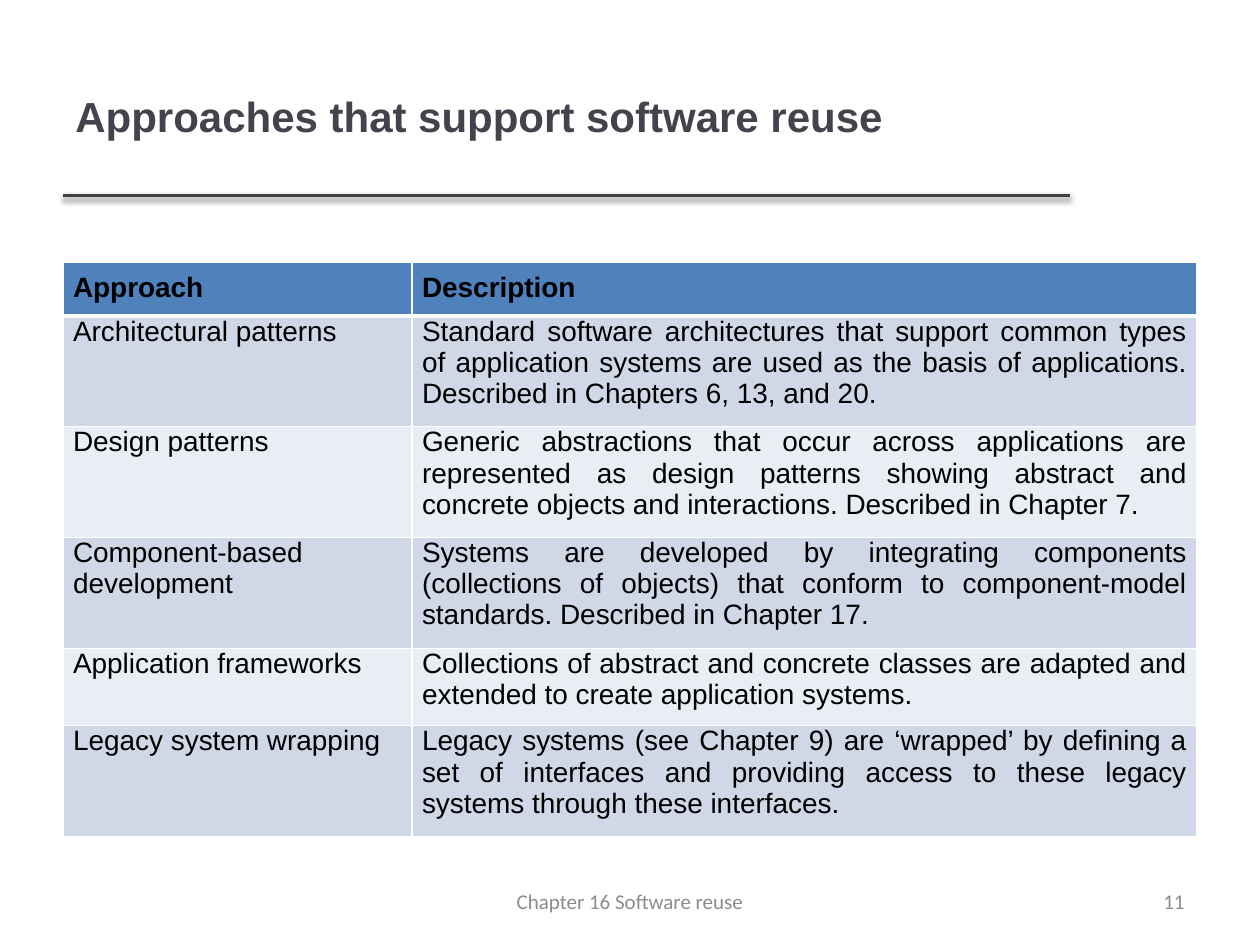
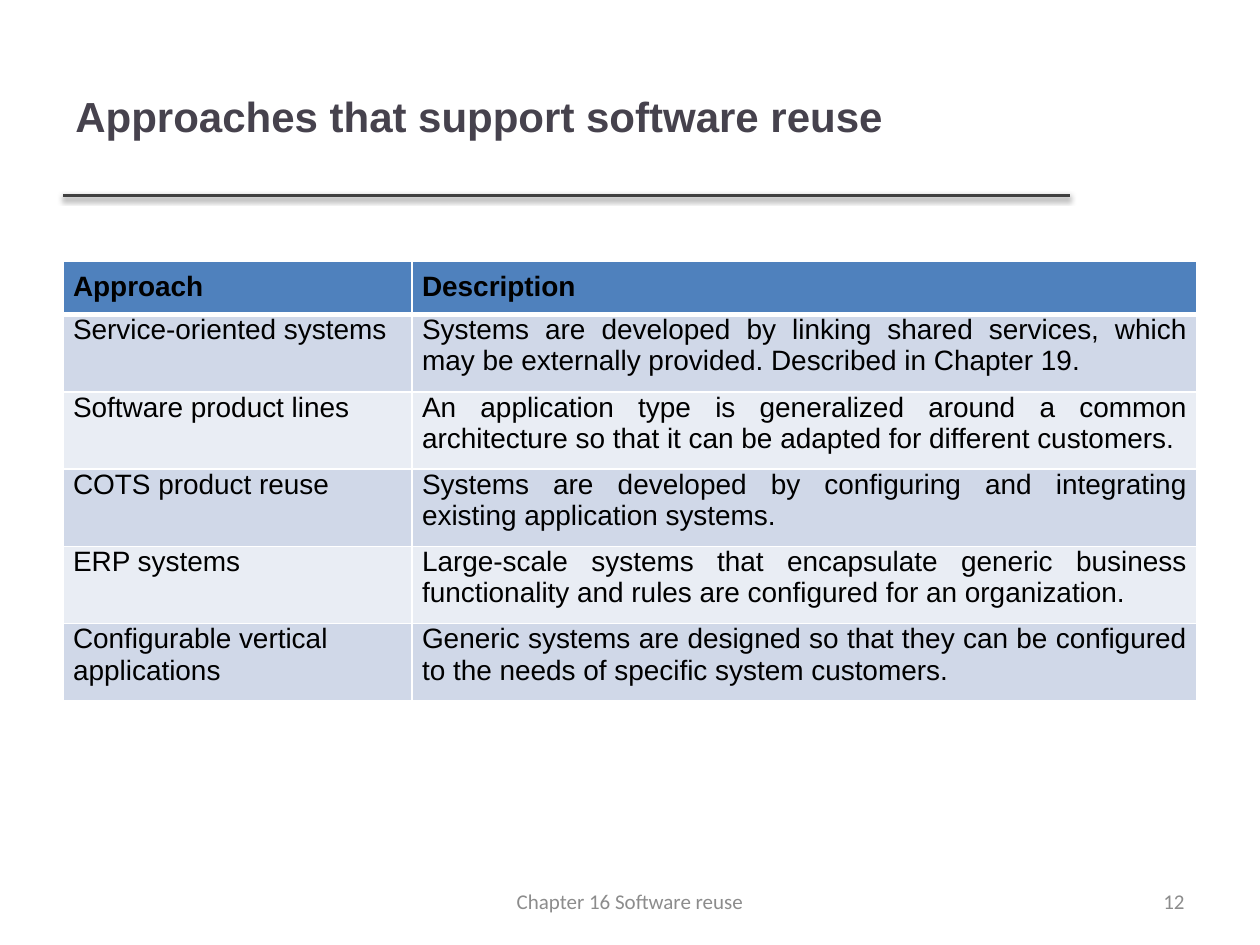
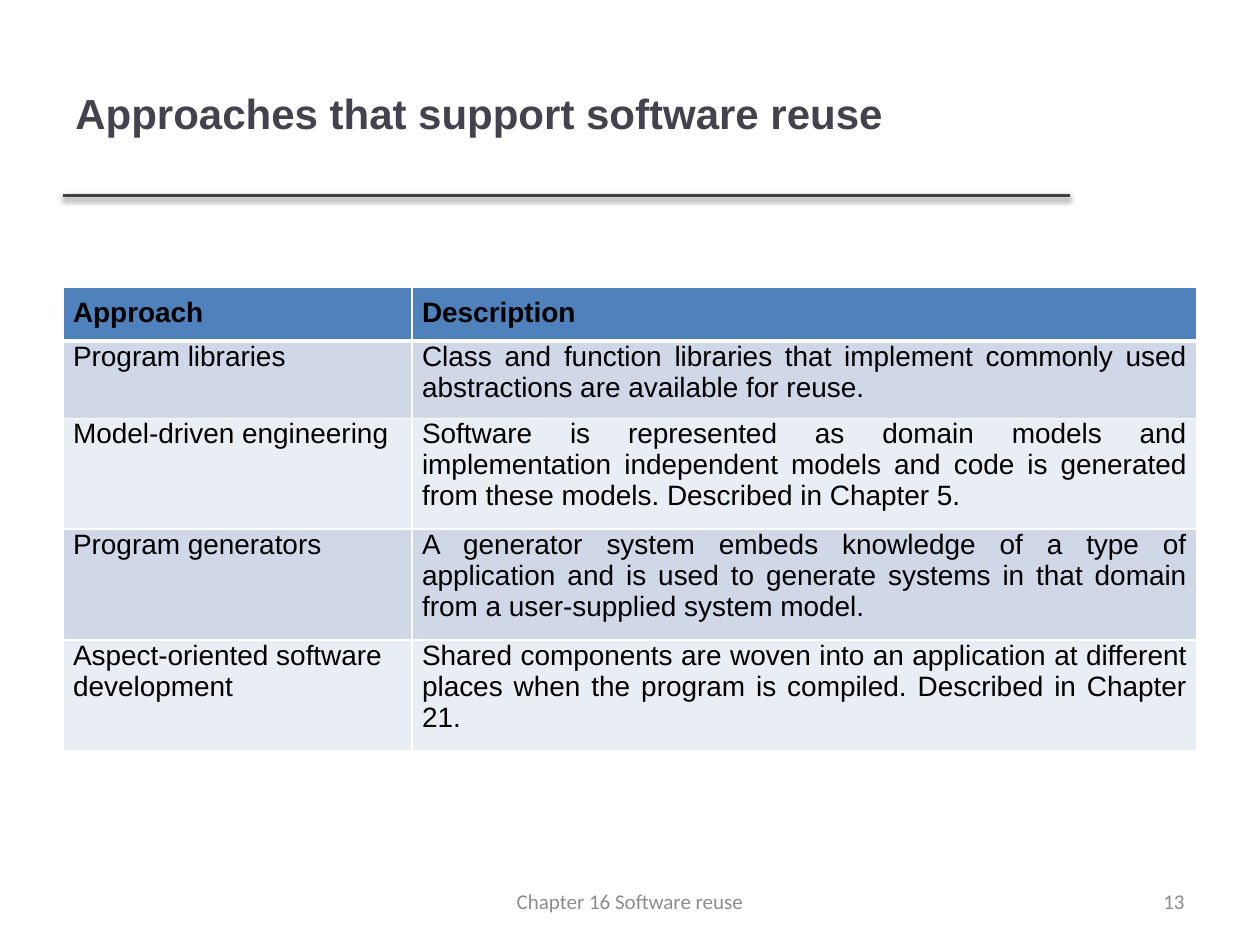
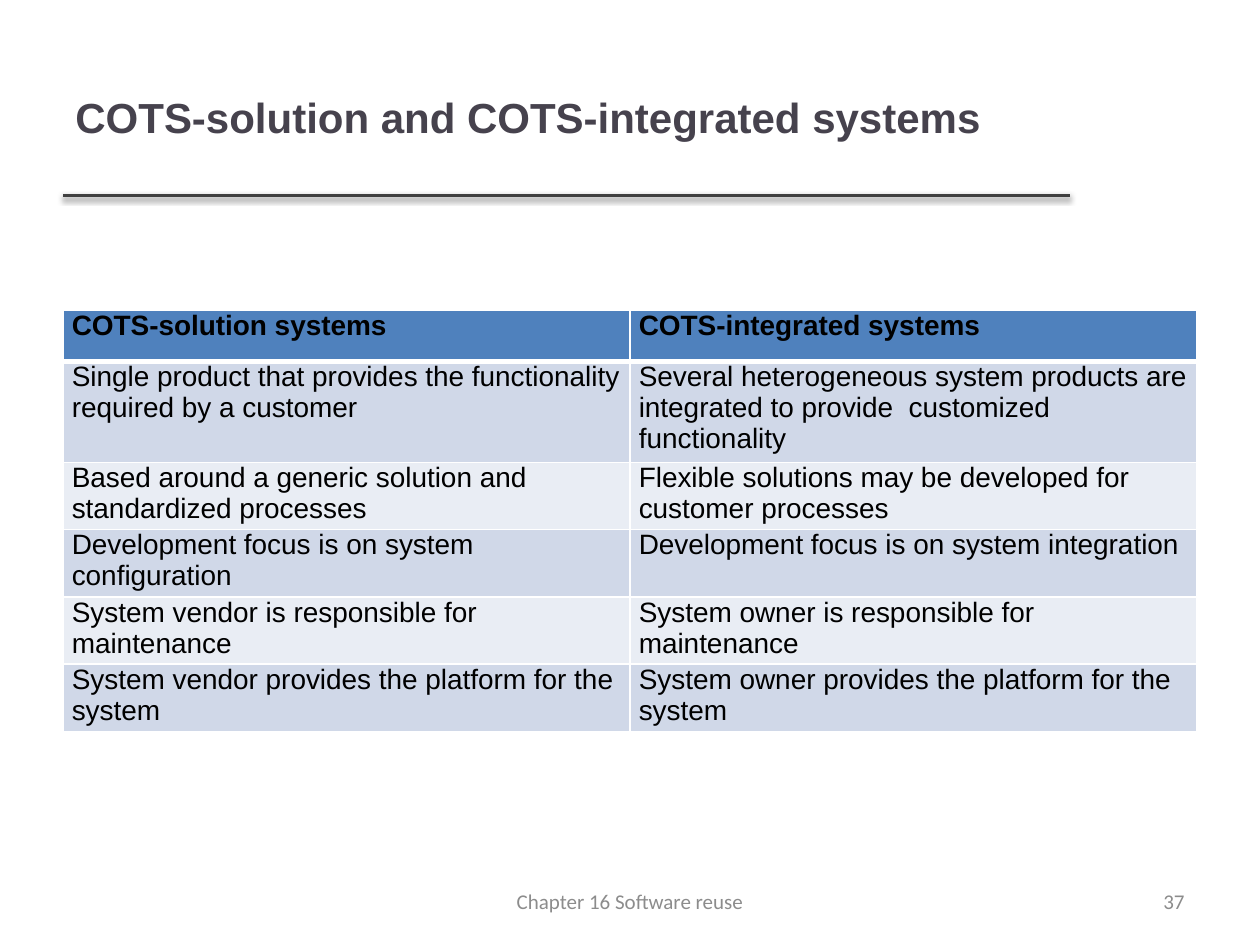
from lxml.etree import SubElement
from pptx import Presentation
from pptx.dml.color import RGBColor as RGB
from pptx.enum.shapes import MSO_CONNECTOR as CONN
from pptx.enum.text import MSO_ANCHOR as ANCHOR, PP_ALIGN as ALIGN
from pptx.oxml.ns import qn
from pptx.util import Inches, Pt

C = {"title": "46424D", "rule": "404040", "shadow": "000000", "text": "000000",
     "head": "4F81BD", "odd": "D0D8E8", "even": "E9EDF4", "border": "FFFFFF",
     "footer": "8C8C8C"}

# Slide grid: 100 columns by 75 rows
COLS, ROWS = 100, 75
prs = Presentation()
prs.slide_width, prs.slide_height = Inches(10), Inches(7.5)
CW, RH = prs.slide_width / COLS, prs.slide_height / ROWS
ROW_H = 4.1


def cols(n):
    return round(n * CW)


def rows(n):
    return round(n * RH)


def place(box):
    x, y, w, h = box
    return cols(x), rows(y), cols(w), rows(h)


def add_run(p, text, size, color, font="Arial", bold=False):
    r = p.add_run()
    r.text = text
    r.font.size, r.font.name, r.font.bold = Pt(size), font, bold
    r.font.color.rgb = RGB.from_string(C[color])


def add_text(s, box, text, align=ALIGN.LEFT, **style):
    tf = s.shapes.add_textbox(*place(box)).text_frame
    tf.word_wrap, tf.vertical_anchor = True, ANCHOR.MIDDLE
    p = tf.paragraphs[0]
    p.alignment = align
    add_run(p, text, **style)


def add_solid(parent, color):
    fill = SubElement(parent, qn("a:solidFill"))
    return SubElement(fill, qn("a:srgbClr"), val=C[color])


# Title with the shadowed rule below it
def add_header(s, box, title):
    x, y, w, h = box
    add_text(s, box, title, size=24, color="title", bold=True)
    rule = s.shapes.add_connector(CONN.STRAIGHT, cols(x), rows(15.5),
                                  cols(84.9), rows(15.5))
    rule.line.color.rgb = RGB.from_string(C["rule"])
    rule.line.width = Pt(2)
    effects = SubElement(rule._element.spPr, qn("a:effectLst"))
    shadow = SubElement(effects, qn("a:outerShdw"), blurRad=str(Pt(3.1)),
                        dist=str(Pt(1.6)), dir="5400000", rotWithShape="0")
    clr = SubElement(shadow, qn("a:srgbClr"), val=C["shadow"])
    SubElement(clr, qn("a:alpha"), val="38000")


# Chapter name and page number
def add_footer(s, box, page):
    x, y, w, h = box
    style = dict(size=12, color="footer", font="Calibri")
    add_text(s, (x + w - 23.3, y, 23.3, h), str(page), ALIGN.RIGHT, **style)
    add_text(s, (x + (w - 31.7) / 2, y, 31.7, h), "Chapter 16 Software reuse",
             ALIGN.CENTER, **style)


def set_borders(cell, row):
    tc_pr = cell._tc.get_or_add_tcPr()
    widths = {"L": 1, "R": 1, "T": 3 if row == 1 else 1, "B": 3 if row == 0 else 1}
    for side, width in widths.items():
        ln = SubElement(tc_pr, qn(f"a:ln{side}"), w=str(Pt(width)))
        add_solid(ln, "border")


def fill_cell(cell, row, text, align, insets, before=0, after=0):
    set_borders(cell, row)
    cell.fill.solid()
    band = "head" if row == 0 else "odd" if row % 2 else "even"
    cell.fill.fore_color.rgb = RGB.from_string(C[band])
    side, top, bottom = insets
    cell.margin_left = cell.margin_right = Inches(side)
    cell.margin_top, cell.margin_bottom = Inches(top), Inches(bottom)
    p = cell.text_frame.paragraphs[0]
    p.alignment, p.space_before, p.space_after = align, Pt(before), Pt(after)
    add_run(p, text, size=16, color="text", bold=row == 0)


def add_grid(s, box, widths, data):
    x, y, w, h = box
    frame = s.shapes.add_table(len(data), len(widths),
                               *place((x, y, w, ROW_H * len(data))))
    table = frame.table
    table.horz_banding = False
    for col, width in zip(table.columns, widths):
        col.width = cols(width)
    for row in table.rows:
        row.height = rows(ROW_H)
    frame.height = rows(h)
    return table


# Approach names beside justified descriptions
def add_approaches(s, box, entries):
    data = [("Approach", "Description"), *entries]
    table = add_grid(s, box, (27.7, 62.3), data)
    for i, line in enumerate(data):
        insets = (0.08, 0 if i else 0.08, 0.08)
        for j, text in enumerate(line):
            align = ALIGN.LEFT if i and j == 0 else ALIGN.JUSTIFY
            fill_cell(table.cell(i, j), i, text, align, insets)


# Two kinds of system side by side
def add_comparison(s, box, data):
    table = add_grid(s, box, (box[2] / 2,) * 2, data)
    for i, line in enumerate(data):
        for j, text in enumerate(line):
            fill_cell(table.cell(i, j), i, text,
                      ALIGN.LEFT if i else ALIGN.JUSTIFY, (0.07, 0, 0),
                      before=3 if i < 2 else 0, after=6 if i else 3)


REUSE = "Approaches that support software reuse"
PATTERNS = [
    ("Architectural patterns",
     "Standard software architectures that support common types of application "
     "systems are used as the basis of applications. Described in Chapters 6, 13, and 20."),
    ("Design patterns",
     "Generic abstractions that occur across applications are represented as design "
     "patterns showing abstract and concrete objects and interactions. Described in "
     "Chapter 7."),
    ("Component-based development",
     "Systems are developed by integrating components (collections of objects) that "
     "conform to component-model standards. Described in Chapter 17."),
    ("Application frameworks",
     "Collections of abstract and concrete classes are adapted and extended to create "
     "application systems."),
    ("Legacy system wrapping",
     "Legacy systems (see Chapter 9) are ‘wrapped’ by defining a set of interfaces and "
     "providing access to these legacy systems through these interfaces."),
]
SYSTEMS = [
    ("Service-oriented systems",
     "Systems are developed by linking shared services, which may be externally "
     "provided. Described in Chapter 19."),
    ("Software product lines",
     "An application type is generalized around a common architecture so that it can "
     "be adapted for different customers."),
    ("COTS product reuse",
     "Systems are developed by configuring and integrating existing application systems."),
    ("ERP systems",
     "Large-scale systems that encapsulate generic business functionality and rules "
     "are configured for an organization."),
    ("Configurable vertical applications",
     "Generic systems are designed so that they can be configured to the needs of "
     "specific system customers."),
]
GENERATION = [
    ("Program libraries",
     "Class and function libraries that implement commonly used abstractions are "
     "available for reuse."),
    ("Model-driven engineering",
     "Software is represented as domain models and implementation independent models "
     "and code is generated from these models. Described in Chapter 5."),
    ("Program generators",
     "A generator system embeds knowledge of a type of application and is used to "
     "generate systems in that domain from a user-supplied system model."),
    ("Aspect-oriented software development",
     "Shared components are woven into an application at different places when the "
     "program is compiled. Described in Chapter 21."),
]
COTS = [
    ("COTS-solution systems", "COTS-integrated systems"),
    ("Single product that provides the functionality required by a customer",
     "Several heterogeneous system products are integrated to provide  customized "
     "functionality"),
    ("Based around a generic solution and standardized processes",
     "Flexible solutions may be developed for customer processes"),
    ("Development focus is on system configuration",
     "Development focus is on system integration"),
    ("System vendor is responsible for maintenance",
     "System owner is responsible for maintenance"),
    ("System vendor provides the platform for the system",
     "System owner provides the platform for the system"),
]

# Page, title, title top and width, table maker, table top and height, content
SLIDES = [
    (11, REUSE, 2.9, 90, add_approaches, 20.8, 45.6, PATTERNS),
    (12, REUSE, 2.9, 90, add_approaches, 20.7, 34.9, SYSTEMS),
    (13, REUSE, 2.7, 90, add_approaches, 22.8, 36.8, GENERATION),
    (37, "COTS-solution and COTS-integrated systems", 3, 79.8,
     add_comparison, 24.6, 33.4, COTS),
]


def main():
    left, width = 5, 90
    for page, title, title_y, title_w, add_body, y, h, content in SLIDES:
        s = prs.slides.add_slide(prs.slide_layouts[6])
        add_header(s, (left, title_y, title_w, 12.5), title)
        add_body(s, (left, y, width, h), content)
        add_footer(s, (left, 69.5, width, 4), page)
    prs.save("out.pptx")


if __name__ == "__main__":
    main()
